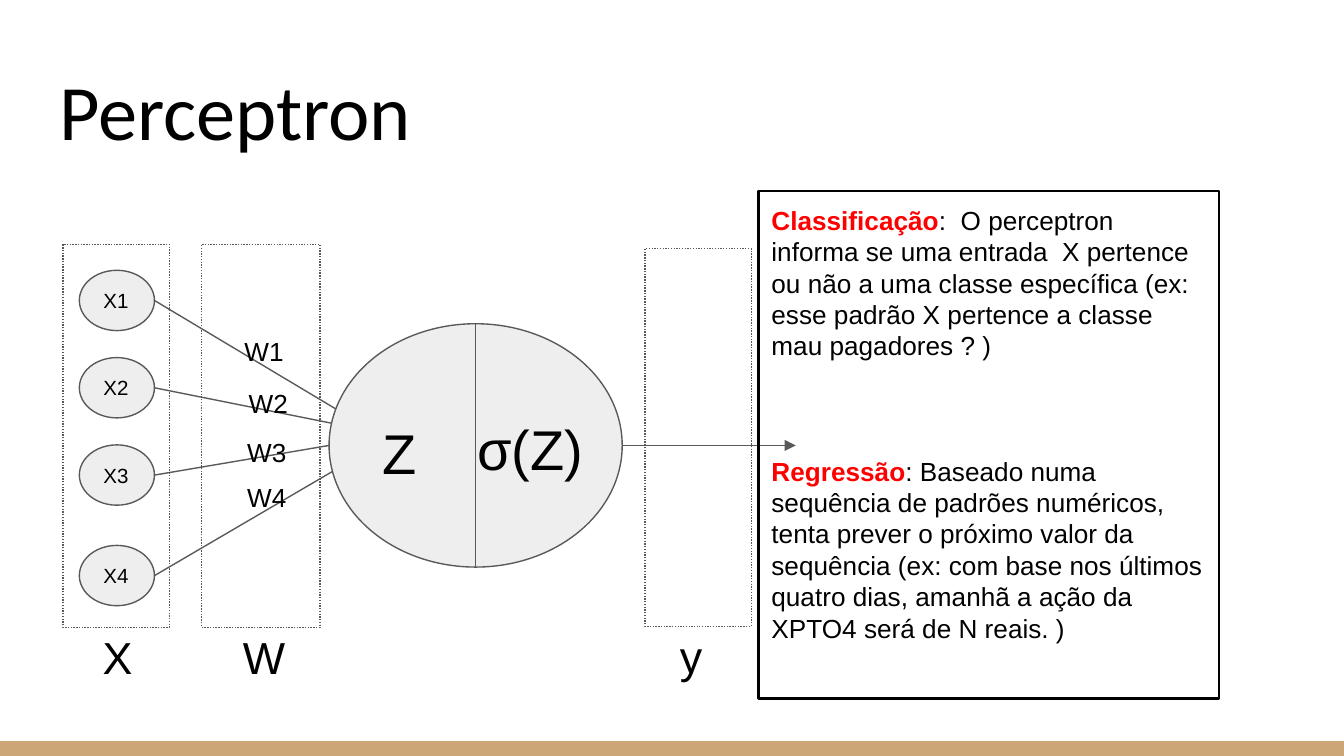
from dataclasses import dataclass

from lxml import etree
from pptx import Presentation
from pptx.dml.color import RGBColor
from pptx.enum import dml, shapes, text
from pptx.oxml.ns import qn
from pptx.util import Cm, Pt


@dataclass(frozen=True)
class Theme:
    ink: RGBColor = RGBColor(0, 0, 0)
    outline: RGBColor = RGBColor(0x59, 0x59, 0x59)
    node: RGBColor = RGBColor(0xEE, 0xEE, 0xEE)
    accent: RGBColor = RGBColor(0xFF, 0, 0)
    footer: RGBColor = RGBColor(0xCC, 0xA6, 0x77)
    title_font: str = "Calibri"
    body_font: str = "Arial"
    title_size: float = 42
    symbol_size: float = 30
    caption_size: float = 24
    body_size: float = 14
    node_size: float = 11
    thin: float = 0.75
    thick: float = 1.5


THEME = Theme()
INSET = Cm(0.25)


def set_font(paragraph, size, name=THEME.body_font):
    paragraph.font.name = name
    paragraph.font.size = Pt(size)
    paragraph.font.color.rgb = THEME.ink


def set_frame(shape, anchor):
    frame = shape.text_frame
    frame.word_wrap = True
    frame.auto_size = text.MSO_AUTO_SIZE.NONE
    frame.vertical_anchor = anchor
    frame.margin_left = frame.margin_right = INSET
    frame.margin_top = frame.margin_bottom = INSET
    return frame


def add_outline(slide, kind, box, fill=None, line=THEME.outline, width=THEME.thin):
    shape = slide.shapes.add_shape(kind, *map(Cm, box))
    shape.shadow.inherit = False
    if fill is None:
        shape.fill.background()
    else:
        shape.fill.solid()
        shape.fill.fore_color.rgb = fill
    if line is None:
        shape.line.fill.background()
    else:
        shape.line.color.rgb = line
        shape.line.width = Pt(width)
    return shape


def add_label(slide, words, box, size, align=text.PP_ALIGN.LEFT):
    label = slide.shapes.add_textbox(*map(Cm, box))
    paragraph = set_frame(label, text.MSO_ANCHOR.TOP).paragraphs[0]
    paragraph.text = words
    paragraph.alignment = align
    set_font(paragraph, size)


def add_line(slide, start, end, arrow=False):
    connector = slide.shapes.add_connector(
        shapes.MSO_CONNECTOR.STRAIGHT, *map(Cm, (*start, *end)))
    connector.line.color.rgb = THEME.outline
    connector.line.width = Pt(THEME.thin)
    properties = connector._element.spPr
    if arrow:
        tail = etree.SubElement(properties.find(qn("a:ln")), qn("a:tailEnd"))
        tail.set("type", "triangle")
    etree.SubElement(properties, qn("a:effectLst"))


def add_title(slide, box):
    title = slide.shapes.title
    title.left, title.top, title.width, title.height = map(Cm, box)
    paragraph = set_frame(title, text.MSO_ANCHOR.BOTTOM).paragraphs[0]
    paragraph.text = "Perceptron"
    paragraph.alignment = text.PP_ALIGN.LEFT
    set_font(paragraph, THEME.title_size, THEME.title_font)


def add_column(slide, box, caption, indent):
    """Dotted frame with its caption underneath."""
    left, top, _, height = box
    frame = add_outline(slide, shapes.MSO_SHAPE.RECTANGLE, box)
    frame.line.dash_style = dml.MSO_LINE.ROUND_DOT
    add_label(slide, caption, (left + indent, top + height - 0.2, 0.92, 0.94),
              THEME.caption_size)


def add_inputs(slide, box):
    """Draw the input nodes and return the right-hand point of each."""
    left, top, _, _ = box
    add_column(slide, box, "X", 0.5)
    width, height = 1.42, 1.14
    ports = []
    for number, drop in enumerate((0.49, 2.14, 3.79, 5.69), start=1):
        node_box = (left + 0.31, top + drop, width, height)
        node = add_outline(slide, shapes.MSO_SHAPE.OVAL, node_box, THEME.node)
        paragraph = set_frame(node, text.MSO_ANCHOR.MIDDLE).paragraphs[0]
        paragraph.text = f"X{number}"
        paragraph.alignment = text.PP_ALIGN.LEFT
        set_font(paragraph, THEME.node_size)
        ports.append((left + 0.31 + width, top + drop + height / 2))
    return ports


def add_weights(slide, box):
    left, top, _, _ = box
    add_column(slide, box, "W", 0.53)
    offsets = ((0.56, 1.5), (0.64, 2.49), (0.61, 3.41), (0.61, 4.27))
    for number, (indent, drop) in enumerate(offsets, start=1):
        add_label(slide, f"W{number}", (left + indent, top + drop, 1.42, 0.43),
                  THEME.body_size)


def add_neuron(slide, box, ports):
    """Draw the neuron, with a line into it from every input port."""
    left, top, width, height = box
    entries = ((0.16, 1.63), (0.05, 1.88), (0, 2.3), (0.1, 2.77))
    for port, (indent, drop) in zip(ports, entries):
        add_line(slide, port, (left + indent, top + drop))
    add_outline(slide, shapes.MSO_SHAPE.OVAL, box, THEME.node)
    middle = left + width / 2
    add_line(slide, (middle, top), (middle, top + height))
    for symbol, indent, drop, span in (("Z", 0.69, 1.55, 1.27),
                                       ("σ(Z)", 2.42, 1.47, 2.77)):
        add_label(slide, symbol, (left + indent, top + drop, span, 1.65),
                  THEME.symbol_size, text.PP_ALIGN.CENTER)
    output = (left + width, top + height / 2)
    add_line(slide, output, (output[0] + 3.28, output[1]), arrow=True)


def add_uses(slide, box):
    uses = (
        ("Classificação", ":  O perceptron informa se uma entrada  X pertence ou "
         "não a uma classe específica (ex: esse padrão X pertence a classe mau "
         "pagadores ? )"),
        ("Regressão", ": Baseado numa sequência de padrões numéricos, tenta prever "
         "o próximo valor da sequência (ex: com base nos últimos quatro dias, "
         "amanhã a ação da XPTO4 será de N reais. )"),
    )
    panel = add_outline(slide, shapes.MSO_SHAPE.RECTANGLE, box,
                        line=THEME.ink, width=THEME.thick)
    frame = set_frame(panel, text.MSO_ANCHOR.TOP)
    for index, (term, meaning) in enumerate(uses):
        paragraph = frame.add_paragraph() if index else frame.paragraphs[0]
        paragraph.alignment = text.PP_ALIGN.LEFT
        if index:
            paragraph.space_before = Pt(50.4)
        set_font(paragraph, THEME.body_size)
        heading = paragraph.add_run()
        heading.text = term
        heading.font.bold = True
        heading.font.color.rgb = THEME.accent
        paragraph.add_run().text = meaning


def main():
    presentation = Presentation()
    presentation.slide_width, presentation.slide_height = Cm(25.4), Cm(14.29)
    slide = presentation.slides.add_slide(presentation.slide_layouts[5])
    add_outline(slide, shapes.MSO_SHAPE.RECTANGLE, (0, 14.01, 25.4, 0.28),
                THEME.footer, line=None)
    add_title(slide, (0.87, 0.9, 23.67, 2.3))
    ports = add_inputs(slide, (1.19, 4.62, 2.01, 7.24))
    add_neuron(slide, (6.22, 6.12, 5.54, 4.6), ports)
    add_weights(slide, (3.81, 4.62, 2.24, 7.24))
    add_column(slide, (12.19, 4.7, 2.01, 7.14), "y", 0.41)
    add_uses(slide, (14.33, 3.61, 8.71, 9.6))
    presentation.save("out.pptx")


if __name__ == "__main__":
    main()
